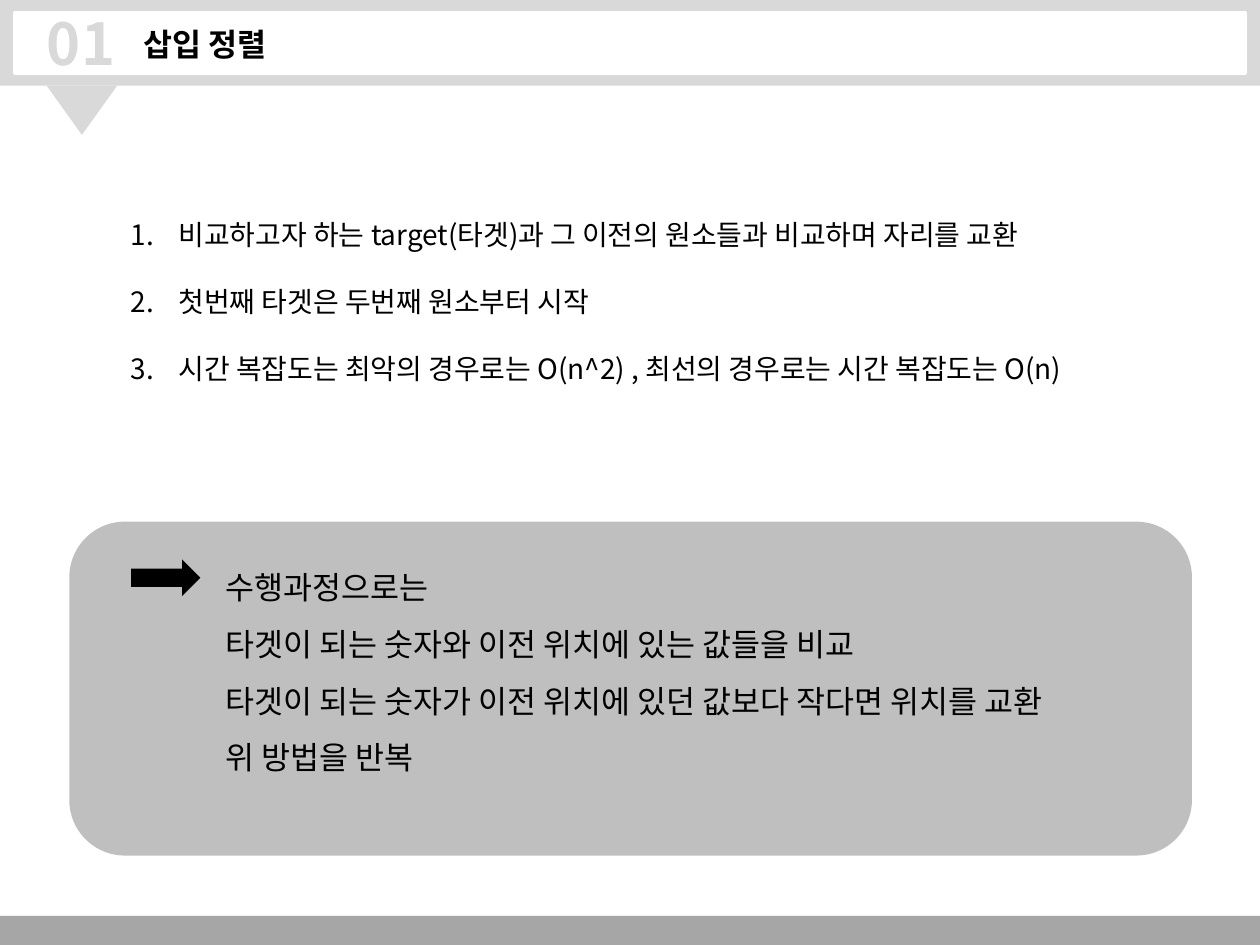
from dataclasses import dataclass
from lxml import etree
from pptx import Presentation
from pptx.dml.color import RGBColor
from pptx.enum.shapes import MSO_SHAPE
from pptx.enum.text import MSO_ANCHOR, MSO_AUTO_SIZE, PP_ALIGN
from pptx.oxml.ns import qn
from pptx.util import Inches, Pt

RECT = MSO_SHAPE.RECTANGLE
ROUND = MSO_SHAPE.ROUNDED_RECTANGLE
WEDGE = MSO_SHAPE.ISOSCELES_TRIANGLE
ARROW = MSO_SHAPE.RIGHT_ARROW
TOP = MSO_ANCHOR.TOP
GROW = MSO_AUTO_SIZE.SHAPE_TO_FIT_TEXT
LEFT = PP_ALIGN.LEFT


@dataclass(frozen=True)
class Theme:
    font: str = "Noto Sans CJK KR"
    ink: str = "000000"
    paper: str = "FFFFFF"
    pale: str = "D9D9D9"
    panel: str = "BFBFBF"
    foot: str = "A6A6A6"
    head: int = 18
    number: int = 33
    body: int = 18
    item: int = 16


theme = Theme()
deck = Presentation()
deck.slide_width, deck.slide_height = Inches(10), Inches(7.5)
slide = deck.slides.add_slide(deck.slide_layouts[5])
shapes = slide.shapes


def block(kind, box, color):
    shape = shapes.add_shape(kind, *map(Inches, box))
    shape.shadow.inherit = False
    shape.fill.solid()
    shape.fill.fore_color.rgb = RGBColor.from_string(color)
    shape.line.fill.background()
    return shape


def write(lines, box, size, color=theme.ink, bold=False, wrap=True,
          space=1, track=0, count=False, holder=None):
    shape = holder or shapes.add_textbox(*map(Inches, box))
    shape.left, shape.top, shape.width, shape.height = map(Inches, box)
    frame = shape.text_frame
    frame.text = "\n".join(lines)
    frame.word_wrap = wrap
    frame.auto_size = GROW
    frame.vertical_anchor = TOP
    for para in frame.paragraphs:
        para.alignment = LEFT
        para.line_spacing = space
        if count:
            props = para._p.get_or_add_pPr()
            props.set("marL", str(Inches(0.38)))
            props.set("indent", str(-Inches(0.38)))
            etree.SubElement(props, qn("a:buFont"), typeface=theme.font)
            etree.SubElement(props, qn("a:buAutoNum"), type="arabicPeriod")
        run = para.runs[0]
        run.font.name = theme.font
        run.font.size = Pt(size)
        run.font.bold = bold
        run.font.color.rgb = RGBColor.from_string(color)
        mark = run._r.get_or_add_rPr()
        etree.SubElement(mark, qn("a:ea"), typeface=theme.font)
        if track:
            mark.set("spc", str(track))
    return shape


block(RECT, (0, 7.27, 10, 0.23), theme.foot)
block(ROUND, (0.55, 4.14, 8.91, 2.65), theme.panel)
block(RECT, (0, 0, 10, 0.68), theme.pale)
wedge = block(WEDGE, (0.37, 0.68, 0.56, 0.39), theme.pale)
wedge.rotation = 180
bar = block(RECT, (0.12, 0.1, 9.76, 0.48), theme.paper)
bar.line.color.rgb = RGBColor.from_string(theme.paper)
bar.line.width = Pt(2)

title = write(["삽입 정렬"], (1.04, 0.15, 1.58, 0.4), theme.head, bold=True,
              holder=shapes.title)
bar._element.addnext(title._element)
write(["01"], (0.27, 0.01, 0.78, 0.66), theme.number, color=theme.pale,
      bold=True, wrap=False, track=50)

steps = [
    "수행과정으로는",
    "타겟이 되는 숫자와 이전 위치에 있는 값들을 비교",
    "타겟이 되는 숫자가 이전 위치에 있던 값보다 작다면 위치를 교환",
    "위 방법을 반복",
]
write(steps, (1.69, 4.31, 7.48, 1.92), theme.body, space=1.5)
block(ARROW, (1.04, 4.44, 0.55, 0.29), theme.ink)

rules = [
    "비교하고자 하는 target(타겟)과 그 이전의 원소들과 비교하며 자리를 교환",
    "첫번째 타겟은 두번째 원소부터 시작",
    "시간 복잡도는 최악의 경우로는 O(n^2) , 최선의 경우로는 시간 복잡도는 O(n)",
]
write(rules, (0.94, 1.41, 8.63, 1.65), theme.item, space=2, count=True)

deck.save("out.pptx")
